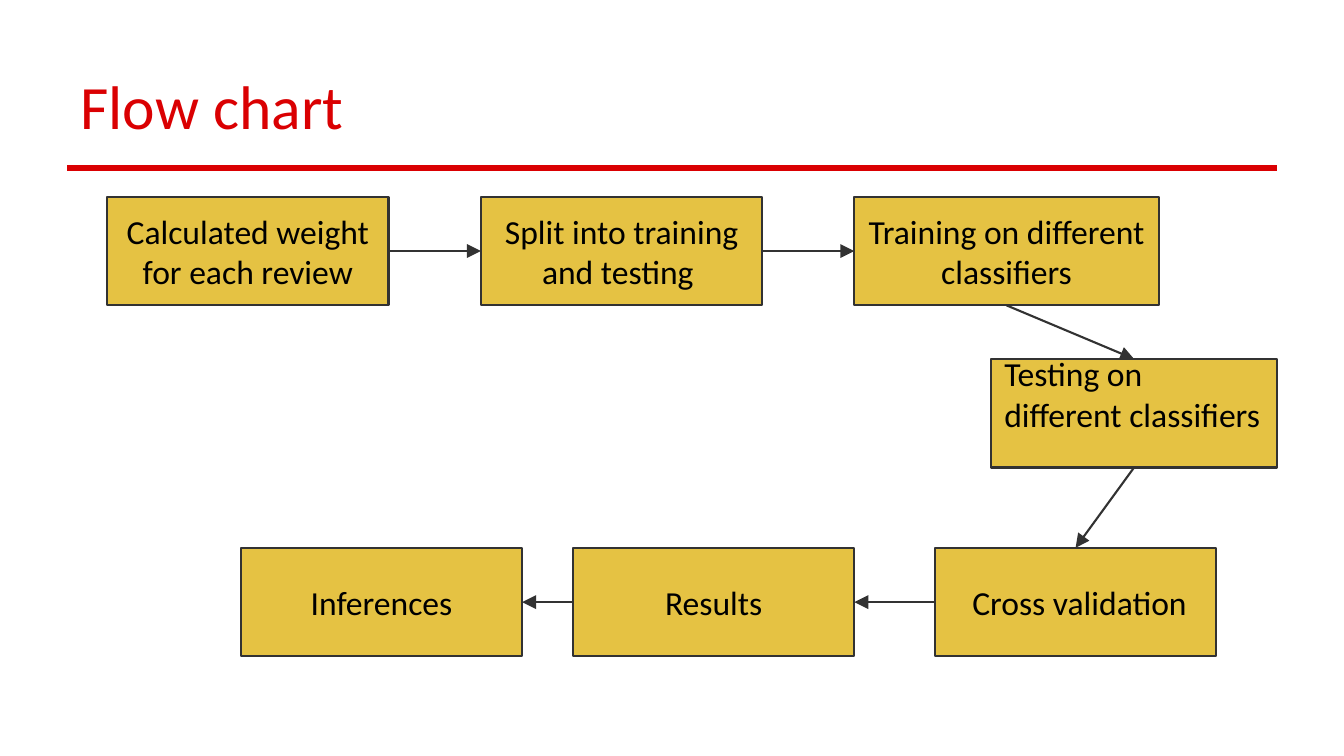
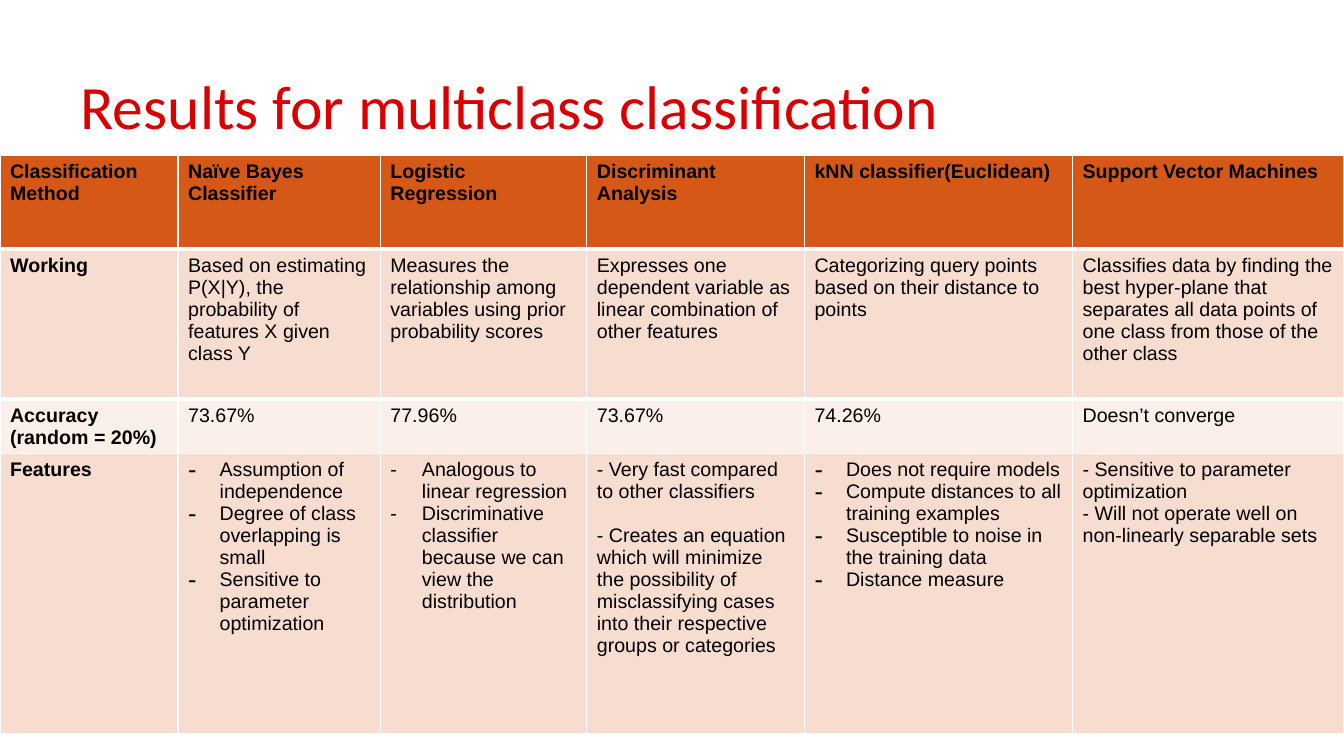
from dataclasses import dataclass
from typing import Any

from lxml import etree
from pptx import Presentation, util as u
from pptx.dml.color import RGBColor
from pptx.enum import shapes, text
from pptx.oxml import ns

# Shared look
RED = RGBColor(0xDA, 0x00, 0x02)
BLACK = RGBColor(0x00, 0x00, 0x00)
WHITE = RGBColor(0xFF, 0xFF, 0xFF)
GOLD = RGBColor(0xE5, 0xC2, 0x43)
CHARCOAL = RGBColor(0x32, 0x32, 0x32)
ORANGE = RGBColor(0xD5, 0x58, 0x16)
PEACH = RGBColor(0xF6, 0xDD, 0xCF)
PALE_PEACH = RGBColor(0xFB, 0xEF, 0xE9)

MARGIN, CONTENT_WIDTH = 48, 864
RULE_TOP = 120
INSET = 9.6
TITLE_FONT = {"name": "Calibri", "size": u.Pt(44)}
NODE_FONT = {"name": "Calibri", "size": u.Pt(24)}
CELL_FONT = {"name": "Arial", "size": u.Pt(14)}
INSETS = {f"margin_{side}": u.Pt(INSET) for side in ("left", "top", "right", "bottom")}
TITLE_FRAME = INSETS | {"word_wrap": True, "vertical_anchor": text.MSO_ANCHOR.BOTTOM}
NODE_FRAME = INSETS | {"word_wrap": True, "vertical_anchor": text.MSO_ANCHOR.MIDDLE}
RAISED_FRAME = {"margin_top": 0, "margin_bottom": u.Pt(28)}

# Flow chart
TOP, LEFT, BOTTOM, RIGHT = range(4)
NODE_WIDTH, NODE_HEIGHT = 201, 77.6
ROW_1, ROW_2, ROW_3 = 140.5, 256.4, 391.3


@dataclass(frozen=True)
class Node:
    label: str
    left: float
    top: float
    width: float = NODE_WIDTH
    align: Any = text.PP_ALIGN.CENTER
    raised: bool = False


@dataclass(frozen=True)
class Arrow:
    start: str
    start_side: int
    end: str
    end_side: int


NODES = {
    "weight": Node("Calculated weight for each review", 76.5, ROW_1),
    "split": Node("Split into training and testing ", 343.5, ROW_1),
    "train": Node("Training on different classifiers", 610.2, ROW_1, 217.5),
    "test": Node("Testing on different classifiers", 707.8, ROW_2, 204.5,
                 text.PP_ALIGN.LEFT, True),
    "validate": Node(" Cross validation", 667.8, ROW_3),
    "results": Node("Results", 409.3, ROW_3),
    "inferences": Node("Inferences", 172, ROW_3),
}
ARROWS = (
    Arrow("weight", RIGHT, "split", LEFT),
    Arrow("split", RIGHT, "train", LEFT),
    Arrow("train", BOTTOM, "test", TOP),
    Arrow("test", BOTTOM, "validate", TOP),
    Arrow("validate", LEFT, "results", RIGHT),
    Arrow("results", LEFT, "inferences", RIGHT),
)

# Results table
TABLE_TOP = 111.3
COLUMN_WIDTHS = (127.2, 144.5, 147.5, 155.5, 191.5, 193.8)
ROW_HEIGHTS = (66.8, 107.2, 38.5, 200)
ROW_FILLS = (ORANGE, PEACH, PALE_PEACH, PEACH)
HEADER_EDGES = {0: "a:lnB", 1: "a:lnT"}
HEADER_EDGE_WEIGHT = 3
BULLET_INDENT = 22.5


@dataclass(frozen=True)
class Entry:
    lines: tuple[str, ...]
    bullet_percent: int = 0
    gap: float = 0


def plain(*labels: str) -> tuple[Entry, ...]:
    return tuple(Entry((label,)) for label in labels)


RESULTS = (
    plain("Classification Method", "Naïve Bayes Classifier", "Logistic Regression",
          "Discriminant Analysis", "kNN classifier(Euclidean)", "Support Vector Machines"),
    plain("Working",
          "Based on estimating P(X|Y), the probability of features X given class Y",
          "Measures the relationship among variables using prior probability scores",
          "Expresses one dependent variable as linear combination of other features",
          "Categorizing query points based on their distance to points",
          "Classifies data by finding the best hyper-plane that separates all data points "
          "of one class from those of the other class"),
    (Entry(("Accuracy", "(random = 20%)")),
     *plain("73.67%", "77.96%", "73.67%", "74.26%", "Doesn’t converge")),
    (Entry(("Features",)),
     Entry(("Assumption of independence", "Degree of class overlapping is small",
            "Sensitive to parameter optimization"), 129),
     Entry(("Analogous to linear regression",
            "Discriminative classiﬁer because we can view the distribution"), 100),
     Entry(("- Very fast compared to other classifiers",
            "- Creates an equation which will minimize the possibility of misclassifying "
            "cases into their respective groups or categories"), gap=15.7),
     Entry(("Does not require models", "Compute distances to all training examples",
            "Susceptible to noise in the training data", "Distance measure"), 129),
     Entry(("- Sensitive to parameter optimization",
            "- Will not operate well on non-linearly separable sets"))),
)


def apply(target: Any, values: dict[str, Any]) -> None:
    for name, value in values.items():
        setattr(target, name, value)


def write(para: Any, words: str, font: dict[str, Any], color: RGBColor) -> None:
    span = para.add_run()
    span.text = words
    apply(span.font, font)
    span.font.color.rgb = color


def add_line(page: Any, color: RGBColor, weight: float,
             ends: tuple[float, float, float, float] = (0, 0, 0, 0)) -> Any:
    line = page.shapes.add_connector(shapes.MSO_CONNECTOR.STRAIGHT, *map(u.Pt, ends))
    line.line.color.rgb = color
    line.line.width = u.Pt(weight)
    etree.SubElement(line._element.spPr, ns.qn("a:effectLst"))
    return line


def add_page(deck: Any, title: str) -> Any:
    page = deck.slides.add_slide(deck.slide_layouts[6])
    add_line(page, RED, 4, (MARGIN, RULE_TOP, MARGIN + CONTENT_WIDTH, RULE_TOP))
    box = page.shapes.add_textbox(u.Pt(MARGIN), u.Pt(21.6), u.Pt(CONTENT_WIDTH), u.Pt(90))
    apply(box.text_frame, TITLE_FRAME)
    para = box.text_frame.paragraphs[0]
    para.line_spacing = 0.9
    write(para, title, TITLE_FONT, RED)
    return page


def add_node(page: Any, node: Node) -> Any:
    box = page.shapes.add_shape(
        shapes.MSO_SHAPE.RECTANGLE,
        *map(u.Pt, (node.left, node.top, node.width, NODE_HEIGHT)))
    box.shadow.inherit = False
    box.fill.solid()
    box.fill.fore_color.rgb = GOLD
    box.line.color.rgb = CHARCOAL
    box.line.width = u.Pt(1.5)
    apply(box.text_frame, NODE_FRAME | (RAISED_FRAME if node.raised else {}))
    para = box.text_frame.paragraphs[0]
    para.alignment = node.align
    write(para, node.label, NODE_FONT, BLACK)
    return box


def add_arrow(page: Any, boxes: dict[str, Any], arrow: Arrow) -> None:
    line = add_line(page, CHARCOAL, 1.5)
    line.begin_connect(boxes[arrow.start], arrow.start_side)
    line.end_connect(boxes[arrow.end], arrow.end_side)
    outline = line._element.spPr.find(ns.qn("a:ln"))
    etree.SubElement(outline, ns.qn("a:tailEnd"), type="triangle", w="lg", len="lg")


def add_dash(para: Any, percent: int) -> None:
    indent = u.Pt(BULLET_INDENT)
    props = para._p.get_or_add_pPr()
    props.set("marL", str(indent))
    props.set("indent", str(-indent))
    etree.SubElement(props, ns.qn("a:buSzPct"), val=str(percent * 1000))
    etree.SubElement(props, ns.qn("a:buFont"), typeface=CELL_FONT["name"])
    etree.SubElement(props, ns.qn("a:buChar"), char="-")


def add_edge(cell: Any, side: str) -> None:
    props = cell._tc.get_or_add_tcPr()
    edge = etree.Element(ns.qn(side), w=str(u.Pt(HEADER_EDGE_WEIGHT)))
    fill = etree.SubElement(edge, ns.qn("a:solidFill"))
    etree.SubElement(fill, ns.qn("a:srgbClr"), val=str(WHITE))
    props.insert(0, edge)


def fill_cell(cell: Any, entry: Entry, fill: RGBColor, bold: bool) -> None:
    cell.fill.solid()
    cell.fill.fore_color.rgb = fill
    cell.margin_bottom = u.Pt(1)
    frame = cell.text_frame
    for index, words in enumerate(entry.lines):
        para = frame.add_paragraph() if index else frame.paragraphs[0]
        if index and entry.gap:
            para.space_before = u.Pt(entry.gap)
        if entry.bullet_percent:
            add_dash(para, entry.bullet_percent)
        write(para, words, CELL_FONT | {"bold": bold}, BLACK)


def add_results(page: Any) -> None:
    table = page.shapes.add_table(
        len(ROW_HEIGHTS), len(COLUMN_WIDTHS), 0, u.Pt(TABLE_TOP),
        u.Pt(sum(COLUMN_WIDTHS)), u.Pt(sum(ROW_HEIGHTS))).table
    table.horz_banding = False
    for column, width in zip(table.columns, COLUMN_WIDTHS):
        column.width = u.Pt(width)
    for row, height in zip(table.rows, ROW_HEIGHTS):
        row.height = u.Pt(height)
    for r, (entries, fill) in enumerate(zip(RESULTS, ROW_FILLS)):
        for c, entry in enumerate(entries):
            cell = table.cell(r, c)
            fill_cell(cell, entry, fill, r == 0 or c == 0)
            if r in HEADER_EDGES:
                add_edge(cell, HEADER_EDGES[r])


def main() -> None:
    deck = Presentation()
    apply(deck, {"slide_width": u.Pt(960), "slide_height": u.Pt(540)})

    # Flow chart page
    page = add_page(deck, "Flow chart")
    boxes = {name: add_node(page, node) for name, node in NODES.items()}
    for arrow in ARROWS:
        add_arrow(page, boxes, arrow)

    # Results page
    add_results(add_page(deck, "Results for multiclass classification"))

    deck.save("out.pptx")


if __name__ == "__main__":
    main()
